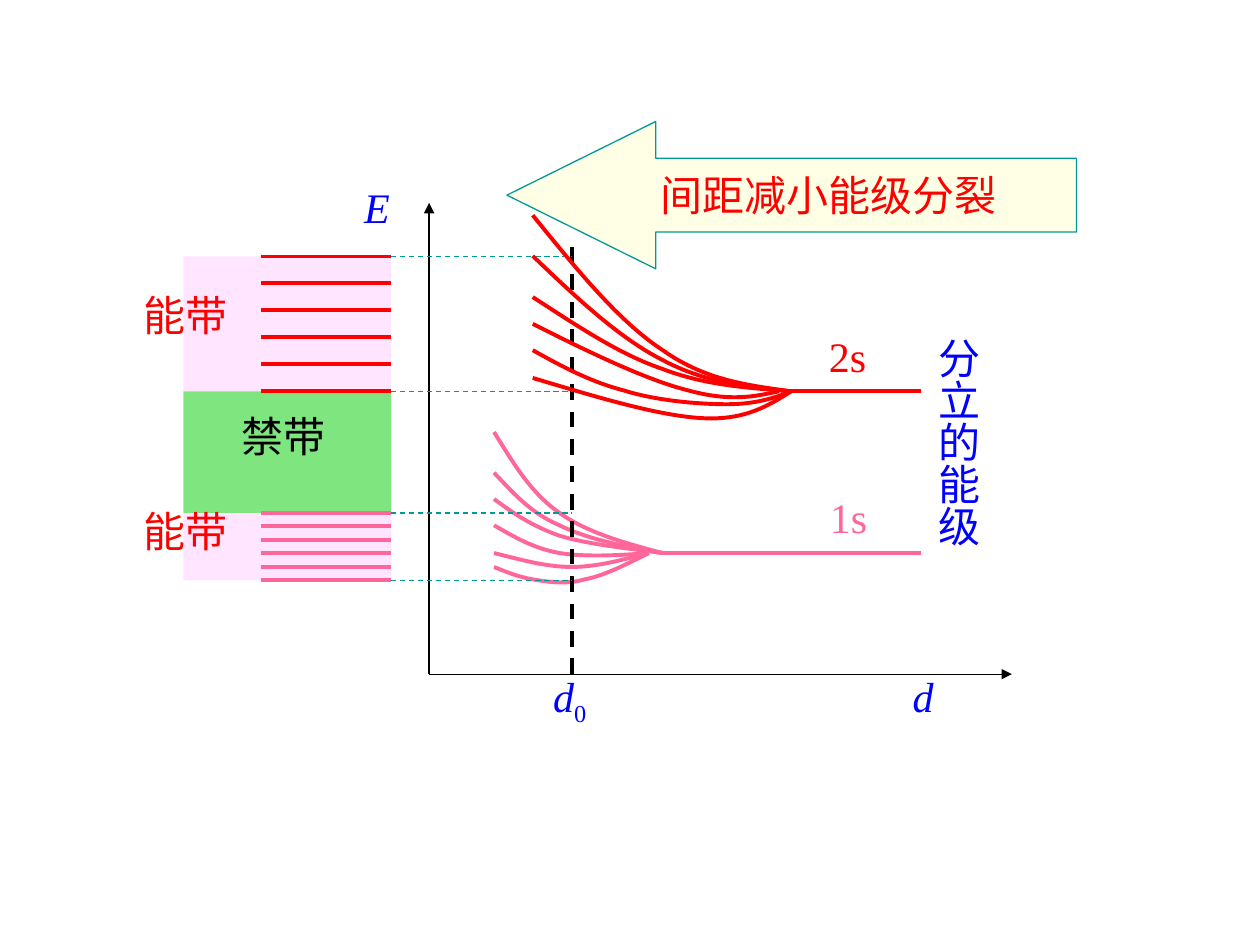
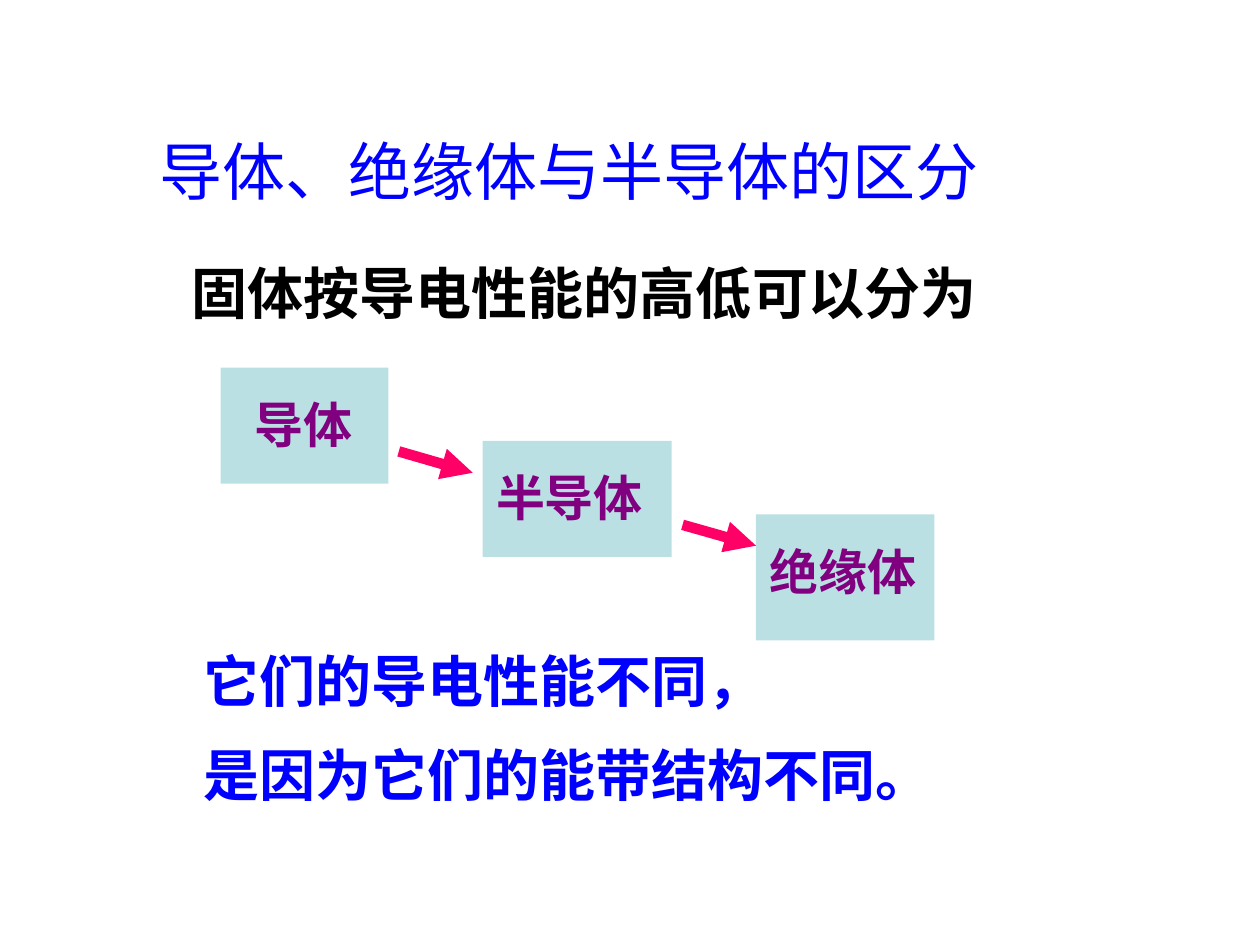
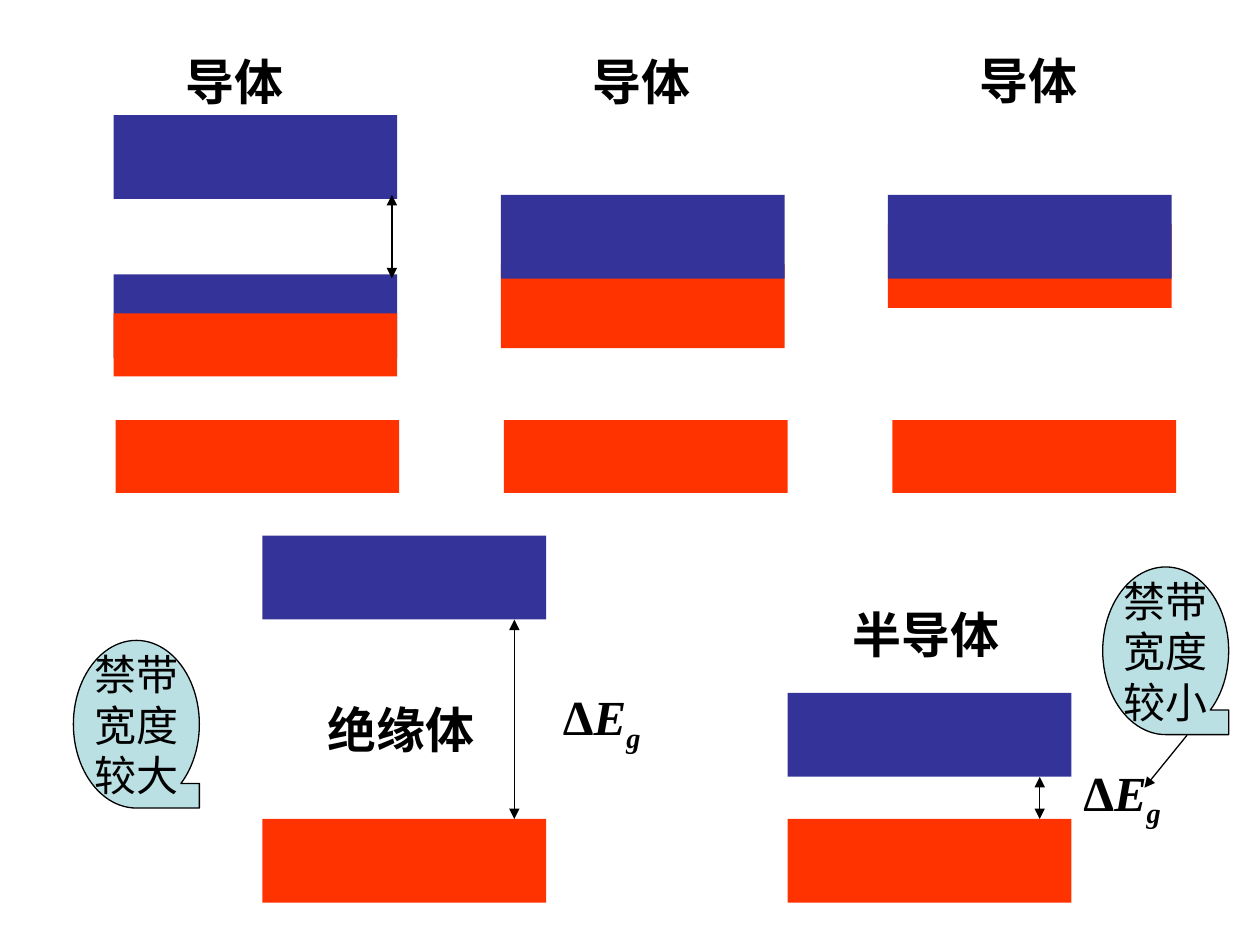
"""Three slides on energy bands in solids: level splitting, classes of solid, band diagrams."""
from lxml.etree import SubElement
from pptx import Presentation
from pptx.dml.color import RGBColor
from pptx.enum.dml import MSO_LINE
from pptx.enum.shapes import MSO_CONNECTOR, MSO_SHAPE
from pptx.enum.text import MSO_ANCHOR, MSO_AUTO_SIZE, PP_ALIGN
from pptx.oxml.ns import qn
from pptx.util import Cm, Pt

BLACK = RGBColor(0, 0, 0)
BLUE = RGBColor(0, 0, 0xFF)
RED = RGBColor(0xFF, 0, 0)
PINK = RGBColor(0xFF, 0x66, 0x99)
LILAC = RGBColor(0xFF, 0xCC, 0xFF)
GREEN = RGBColor(0, 0xCC, 0)
TEAL = RGBColor(0, 0x99, 0x99)
CREAM = RGBColor(0xFF, 0xFF, 0xCC)
PALE = RGBColor(0xBB, 0xE0, 0xE3)
PURPLE = RGBColor(0x80, 0, 0x80)
MAGENTA = RGBColor(0xFF, 0, 0x66)
EMPTY_BAND = RGBColor(0x33, 0x33, 0x99)
FULL_BAND = RGBColor(0xFF, 0x33, 0)
SERIF, SANS = "Times New Roman", "DejaVu Sans"

BAND_X, LEVEL_X, BAND_END = 3.7, 5.26, 7.88
AXIS_X, AXIS_Y, D0_X, FLAT_END = 8.65, 13.59, 11.53, 18.57
Y_2S, Y_1S = 7.89, 11.15
BAND_2S, BAND_1S = (5.17, 7.89), (10.34, 11.7)
LEVEL_COUNT = 6

CURVES_1S = [
    [(13.36, Y_1S), (12.6, 10.95), (11.84, 10.74), (11.28, 10.34),
     (10.69, 9.93), (10.34, 9.32), (9.96, 8.71)],
    [(13.36, Y_1S), (12.6, 11.02), (11.84, 10.87), (11.28, 10.59),
     (10.69, 10.34), (10.34, 9.93), (9.96, 9.53)],
    [(13.36, Y_1S), (12.6, 11.05), (11.84, 10.97), (11.28, 10.8),
     (10.69, 10.59), (10.34, 10.34), (9.96, 10.06)],
    [(13.08, Y_1S), (12.57, 11.28), (12.04, 11.43), (11.53, 11.43),
     (11, 11.43), (10.49, 11.28), (9.96, 11.15)],
    [(13.08, Y_1S), (12.62, 11.38), (12.17, 11.61), (11.79, 11.68), (11.4, 11.79),
     (11.05, 11.73), (10.74, 11.68), (10.44, 11.63), (10.21, 11.53), (9.96, 11.43)],
    [(13.08, Y_1S), (12.45, 11.2), (11.79, 11.23), (11.28, 11.15),
     (10.74, 11.05), (10.36, 10.82), (9.96, 10.59)],
]
CURVES_2S = [
    [(15.95, Y_2S), (15.49, 8.18), (15.01, 8.48), (14.15, 8.43),
     (13.26, 8.38), (12.01, 8), (10.74, 7.62)],
    [(15.95, Y_2S), (15.09, 7.77), (14.22, 7.67), (13.36, 7.06),
     (12.47, 6.48), (11.61, 5.41), (10.74, 4.34)],
    [(15.95, Y_2S), (15.6, 8.03), (15.21, 8.15), (14.66, 8.15), (14.1, 8.15),
     (13.23, 8.08), (12.57, 7.87), (11.91, 7.7), (11.33, 7.39), (10.74, 7.06)],
    [(15.7, Y_2S), (15.19, 8), (14.71, 8.1), (13.87, 7.87),
     (13.06, 7.67), (11.89, 7.11), (10.74, 6.53)],
    [(15.95, Y_2S), (15.09, 7.82), (14.22, 7.77), (13.36, 7.44),
     (12.47, 7.14), (11.61, 6.55), (10.74, 5.99)],
    [(15.95, Y_2S), (15.09, 7.8), (14.22, 7.72), (13.36, 7.26),
     (12.47, 6.81), (11.61, 5.99), (10.74, 5.16)],
]
DISTANCES = [("d", True, False), ("0", False, True), ("\t", False, False), ("d", True, False)]
DISTANCE_TAB = 7.25
SPLIT_LABELS = [
    ([("E", True, False)], 7.09, 3.53, 1.85, SERIF, BLUE),
    ("禁带", 4.62, 8.15, 2.72, SANS, BLACK),
    ("能带", 2.65, 10.06, 2.72, SANS, RED),
    ("能带", 2.65, 5.72, 2.72, SANS, RED),
    ("2s", 16.46, 6.53, 2.08, SERIF, RED),
    ("1s", 16.48, 9.78, 2.08, SERIF, PINK),
]

CLASSES = [
    ("导体", (4.45, 7.41, 3.38, 2.34), 4.88, 2.49),
    ("半导体", (9.73, 8.89, 3.81, 2.34), 9.74, 3.48),
    ("绝缘体", (15.24, 10.37, 3.6, 2.54), 15.25, 3.48),
]
CLASS_ARROWS = [(8.04, 9.1, 9.53, 9.53), (13.76, 10.58, 15.24, 11)]

BAND_W, BAND_H = 5.72, 1.69
BANDS = [
    (5.29, 16.51, BAND_H, FULL_BAND), (5.29, 10.8, BAND_H, EMPTY_BAND),
    (15.88, 16.51, BAND_H, FULL_BAND), (15.88, 13.97, BAND_H, EMPTY_BAND),
    (10.1, 5.33, BAND_H, FULL_BAND), (17.9, 4.52, BAND_H, FULL_BAND),
    (10.1, 3.93, BAND_H, EMPTY_BAND), (17.9, 3.93, BAND_H, EMPTY_BAND),
    (2.29, 2.32, BAND_H, EMPTY_BAND), (2.29, 5.53, BAND_H, EMPTY_BAND),
    (2.29, 6.32, 1.27, FULL_BAND),
] + [(2.33 + 7.83 * i, 8.47, 1.47, FULL_BAND) for i in range(3)]
DIAGRAM_LABELS = [("导体", 3.5, 0.92, 2.49), ("导体", 11.7, 0.92, 2.49),
                  ("导体", 19.5, 0.89, 2.49), ("半导体", 16.94, 12.07, 3.48),
                  ("绝缘体", 6.35, 13.97, 3.48)]
GAP_ARROWS = [(7.9, 3.93, 5.61), (10.37, 12.49, 16.51), (20.96, 15.66, 16.51)]
GAP_ENERGY = [("Δ", False, False), ("E", True, False), ("g", True, True)]
GAP_LABELS = [(11.1, 13.72), (21.59, 15.24)]
GAP_NOTES = [(("禁带", "宽度", "较小"), 22.23, 11.43),
             (("禁带", "宽度", "较大"), 1.48, 12.91)]


def set_font(p, size, color, name=SERIF, bold=False):
    f = p.font
    f.size, f.name, f.bold = Pt(size), name, bold
    f.color.rgb = color


def add_text(slide, lines, x, y, w, h, size, color, name=SERIF, bold=False, wrap=False):
    tf = slide.shapes.add_textbox(Cm(x), Cm(y), Cm(w), Cm(h)).text_frame
    tf.word_wrap = wrap
    tf.auto_size = MSO_AUTO_SIZE.SHAPE_TO_FIT_TEXT
    for i, line in enumerate(lines):
        p = tf.add_paragraph() if i else tf.paragraphs[0]
        set_font(p, size, color, name, bold)
        for text, italic, sub in [(line, False, False)] if isinstance(line, str) else line:
            r = p.add_run()
            r.text = text
            if italic:
                r.font.italic = True
            if sub:
                r._r.get_or_add_rPr().set("baseline", "-25000")
    return tf


def add_block(slide, kind, x, y, w, h, fill, line=None, alpha=None):
    sp = slide.shapes.add_shape(kind, Cm(x), Cm(y), Cm(w), Cm(h))
    sp.shadow.inherit = False
    sp.fill.solid()
    sp.fill.fore_color.rgb = fill
    if alpha:
        clr = sp._element.spPr.find(qn("a:solidFill"))[0]
        SubElement(clr, qn("a:alpha"), val=str(alpha * 1000))
    if line is None:
        sp.line.fill.background()
    else:
        sp.line.color.rgb = line
        sp.line.width = Pt(0.75)
    return sp


def add_line(slide, x1, y1, x2, y2, color=BLACK, width=0.75, dash=False, ends=()):
    c = slide.shapes.add_connector(MSO_CONNECTOR.STRAIGHT, Cm(x1), Cm(y1), Cm(x2), Cm(y2))
    c.line.color.rgb = color
    c.line.width = Pt(width)
    if dash:
        c.line.dash_style = MSO_LINE.DASH
    for end in ends:
        SubElement(c.line._get_or_add_ln(), qn(f"a:{end}End"), type="triangle")
    SubElement(c._element.spPr, qn("a:effectLst"))


def add_curve(slide, points, color):
    start, *rest = [(Cm(x), Cm(y)) for x, y in points]
    fb = slide.shapes.build_freeform(*start)
    fb.add_line_segments(rest, close=False)
    sp = fb.convert_to_shape()
    segments = list(sp._element.iter(qn("a:lnTo")))
    for k in range(0, len(segments), 3):
        cubic = SubElement(segments[k].getparent(), qn("a:cubicBezTo"))
        for segment in segments[k:k + 3]:
            cubic.append(segment[0])
            segment.getparent().remove(segment)
    sp.shadow.inherit = False
    sp.fill.background()
    sp.line.color.rgb = color
    sp.line.width = Pt(2.25)


def add_levels(slide, band, color):
    top, bottom = band
    for i in range(LEVEL_COUNT):
        y = top + (bottom - top) * i / (LEVEL_COUNT - 1)
        add_line(slide, LEVEL_X, y, BAND_END, y, color, 2.25)


def splitting_slide(slide):
    gap = (BAND_2S[1], BAND_1S[0])
    for (top, bottom), color in ((BAND_1S, LILAC), (BAND_2S, LILAC), (gap, GREEN)):
        add_block(slide, MSO_SHAPE.RECTANGLE, BAND_X, top, BAND_END - BAND_X, bottom - top,
                  color, alpha=50)
    add_line(slide, AXIS_X, AXIS_Y, 20.4, AXIS_Y, ends=["tail"])
    add_line(slide, AXIS_X, AXIS_Y, AXIS_X, 4.09, ends=["tail"])
    for curves, y, color in ((CURVES_1S, Y_1S, PINK), (CURVES_2S, Y_2S, RED)):
        add_line(slide, curves[0][0][0], y, FLAT_END, y, color, 2.25)
    for curve in CURVES_1S:
        add_curve(slide, curve, PINK)
    add_line(slide, D0_X, AXIS_Y, D0_X, 4.9, width=2.25, dash=True)
    add_levels(slide, BAND_1S, PINK)
    add_levels(slide, BAND_2S, RED)
    for y in BAND_1S + BAND_2S:
        add_line(slide, BAND_END, y, D0_X, y, TEAL, dash=True)
    for curve in CURVES_2S:
        add_curve(slide, curve, RED)
    tf = add_text(slide, [DISTANCES], 10.9, 13.39, 10.64, 1.63, 24, BLUE, wrap=True)
    tabs = SubElement(tf.paragraphs[0]._p.get_or_add_pPr(), qn("a:tabLst"))
    tabs.getparent().insert(0, tabs)
    SubElement(tabs, qn("a:tab"), pos=str(Cm(DISTANCE_TAB)), algn="l")
    for text, x, y, w, name, color in SPLIT_LABELS:
        add_text(slide, [text], x, y, w, 1.63, 24, color, name)
    tf = add_text(slide, ["分立的能级"], 18.06, 6.55, 1.88, 5.69, 24, BLUE, SANS)
    tf._txBody.bodyPr.set("vert", "eaVert")
    sp = add_block(slide, MSO_SHAPE.LEFT_ARROW, 10.22, 2.45, 11.48, 2.97, CREAM, TEAL, 50)
    sp.adjustments[0], sp.adjustments[1] = 0.5, 1.01
    p = sp.text_frame.paragraphs[0]
    p.text = "间距减小能级分裂"
    p.alignment = PP_ALIGN.CENTER
    set_font(p, 24, RED, "Arial")


def classes_slide(slide):
    for text, box, text_x, text_w in CLASSES:
        add_block(slide, MSO_SHAPE.RECTANGLE, *box, PALE)
        tf = add_text(slide, [text], text_x, box[1] + 0.42, text_w, 1.45, 28, PURPLE, bold=True)
        tf.paragraphs[0].alignment = PP_ALIGN.CENTER
    tf = add_text(slide, ["固体按导电性能的高低可以分为"], 3.59, 5.08, 16.38, 1.6,
                  32, BLACK, bold=True)
    tf.paragraphs[0].alignment = PP_ALIGN.CENTER
    for ends in CLASS_ARROWS:
        add_line(slide, *ends, MAGENTA, 6, ends=["tail"])
    tf = add_text(slide, ["它们的导电性能不同，", "是因为它们的能带结构不同。"],
                  3.6, 12.9, 15.52, 3.5, 32, BLUE, bold=True)
    tf.margin_left = Cm(0.5)
    tf.paragraphs[1].line_spacing = 1.4
    add_text(slide, ["导体、绝缘体与半导体的区分"], 2.97, 2.54, 20.73, 1.78, 36, BLUE, wrap=True)


def diagrams_slide(slide):
    for x, y, h, color in BANDS:
        add_block(slide, MSO_SHAPE.RECTANGLE, x, y, BAND_W, h, color)
    for text, x, y, w in DIAGRAM_LABELS:
        add_text(slide, [text], x, y, w, 1.45, 28, BLACK, bold=True)
    for x, top, bottom in GAP_ARROWS:
        add_line(slide, x, top, x, bottom, ends=["head", "tail"])
    for x, y in GAP_LABELS:
        add_text(slide, [GAP_ENERGY], x, y, 2.11, 1.45, 28, BLACK, bold=True, wrap=True)
    for lines, x, y in GAP_NOTES:
        sp = add_block(slide, MSO_SHAPE.FLOWCHART_SEQUENTIAL_ACCESS_STORAGE,
                       x, y, 2.54, 3.38, PALE, BLACK)
        tf = sp.text_frame
        tf.word_wrap = False
        tf.vertical_anchor = MSO_ANCHOR.MIDDLE
        tf.text = "\n".join(lines)
        for p in tf.paragraphs:
            p.alignment = PP_ALIGN.CENTER
            set_font(p, 24, BLACK)
    add_line(slide, 23.93, 14.82, 23.07, 15.88, ends=["tail"])


def main():
    prs = Presentation()
    prs.slide_width, prs.slide_height = Cm(25.4), Cm(19.05)
    for build in (splitting_slide, classes_slide, diagrams_slide):
        build(prs.slides.add_slide(prs.slide_layouts[6]))
    prs.save("out.pptx")


if __name__ == "__main__":
    main()
